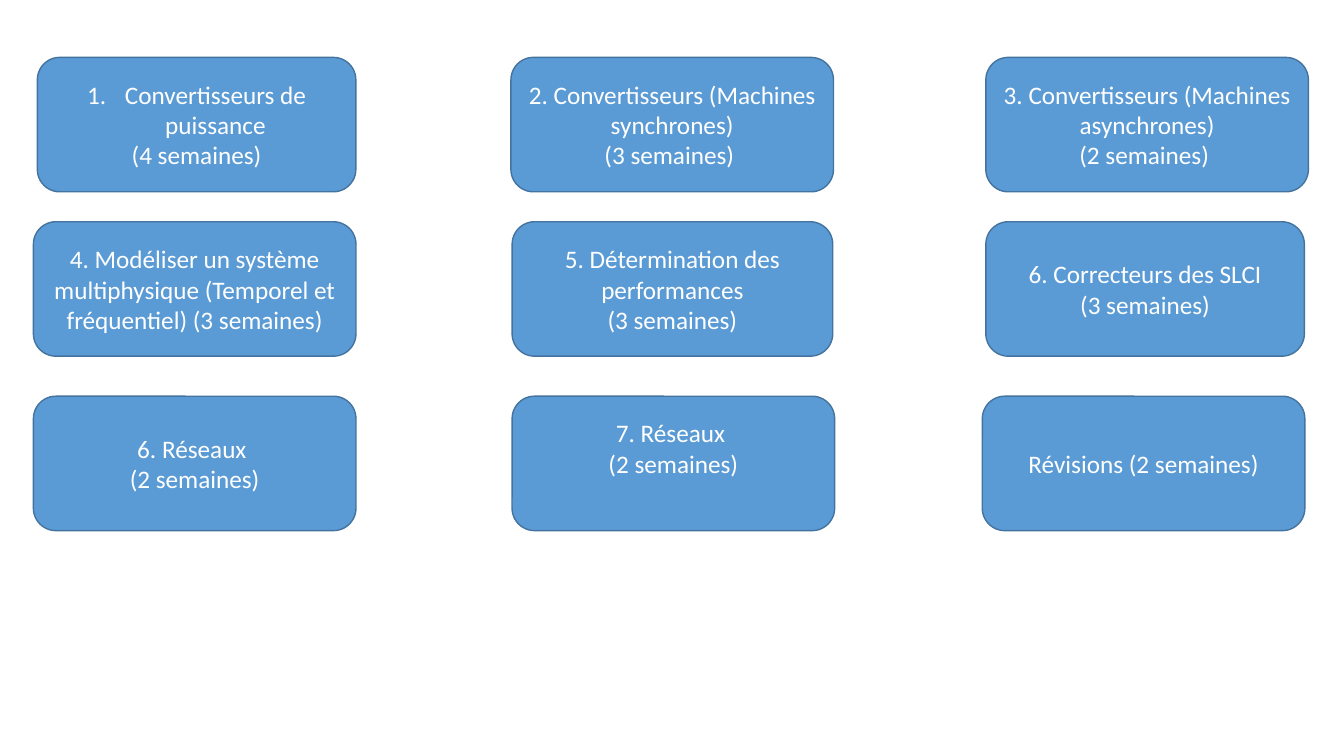
import pptx
import pptx.dml.color
import pptx.enum.shapes
import pptx.enum.text
import pptx.oxml
import pptx.oxml.ns
import pptx.util
from pptx.util import Pt

COLOURS = {"box": "5B9BD5", "outline": "43739E", "text": "FFFFFF"}
FONT = "Calibri"
BOX_HEIGHT = 96
LINE_HEIGHT = 22

TOPIC_ROWS = [
    (41, [
        (26.7, 227.5, "Convertisseurs de puissance\n(4 semaines)"),
        (365, 230.4, "2. Convertisseurs (Machines synchrones)\n(3 semaines) "),
        (704.2, 230.4, "3. Convertisseurs (Machines asynchrones)\n(2 semaines) "),
    ]),
    (158.4, [
        (23.9, 230.4, "4. Modéliser un système multiphysique (Temporel et fréquentiel) (3 semaines)"),
        (365.8, 229, "5. Détermination des performances\n(3 semaines)"),
        (704.2, 227.5, "6. Correcteurs des SLCI\n(3 semaines)"),
    ]),
    (283, [
        (23.9, 230.4, "6. Réseaux \n(2 semaines)"),
        (365.8, 230.4, "7. Réseaux \n(2 semaines)"),
        (701.7, 230.4, "Révisions (2 semaines)"),
    ]),
]


def colour(name):
    return pptx.dml.color.RGBColor.from_string(COLOURS[name])


def add_topic(slide, left, top, width, text):
    shape = slide.shapes.add_shape(
        pptx.enum.shapes.MSO_SHAPE.ROUNDED_RECTANGLE,
        Pt(left), Pt(top), Pt(width), Pt(BOX_HEIGHT))
    shape.shadow.inherit = False
    shape.fill.solid()
    shape.fill.fore_color.rgb = colour("box")
    shape.line.color.rgb = colour("outline")
    shape.line.width = Pt(1)
    text_frame = shape.text_frame
    text_frame.word_wrap = True
    text_frame.vertical_anchor = pptx.enum.text.MSO_ANCHOR.MIDDLE
    text_frame.text = text
    for paragraph in text_frame.paragraphs:
        paragraph.alignment = pptx.enum.text.PP_ALIGN.CENTER
        for run in paragraph.runs:
            run.font.name = FONT
            run.font.size = Pt(18)
            run.font.color.rgb = colour("text")
    return shape


def number_paragraph(paragraph, indent):
    properties = paragraph._p.get_or_add_pPr()
    properties.set("marL", str(Pt(indent)))
    properties.set("indent", str(-Pt(indent)))
    properties.append(pptx.oxml.parse_xml(
        f'<a:buAutoNum {pptx.oxml.ns.nsdecls("a")} type="arabicPeriod"/>'))


def main():
    presentation = pptx.Presentation()
    presentation.slide_width = Pt(960)
    presentation.slide_height = Pt(540)
    slide = presentation.slides.add_slide(presentation.slide_layouts[6])
    topics = [
        [add_topic(slide, left, top, width, text) for left, width, text in row]
        for top, row in TOPIC_ROWS
    ]
    number_paragraph(topics[0][0].text_frame.paragraphs[0], 27)
    second_networks = topics[2][1].text_frame
    second_networks.margin_bottom += Pt(LINE_HEIGHT)
    presentation.save("out.pptx")


if __name__ == "__main__":
    main()
